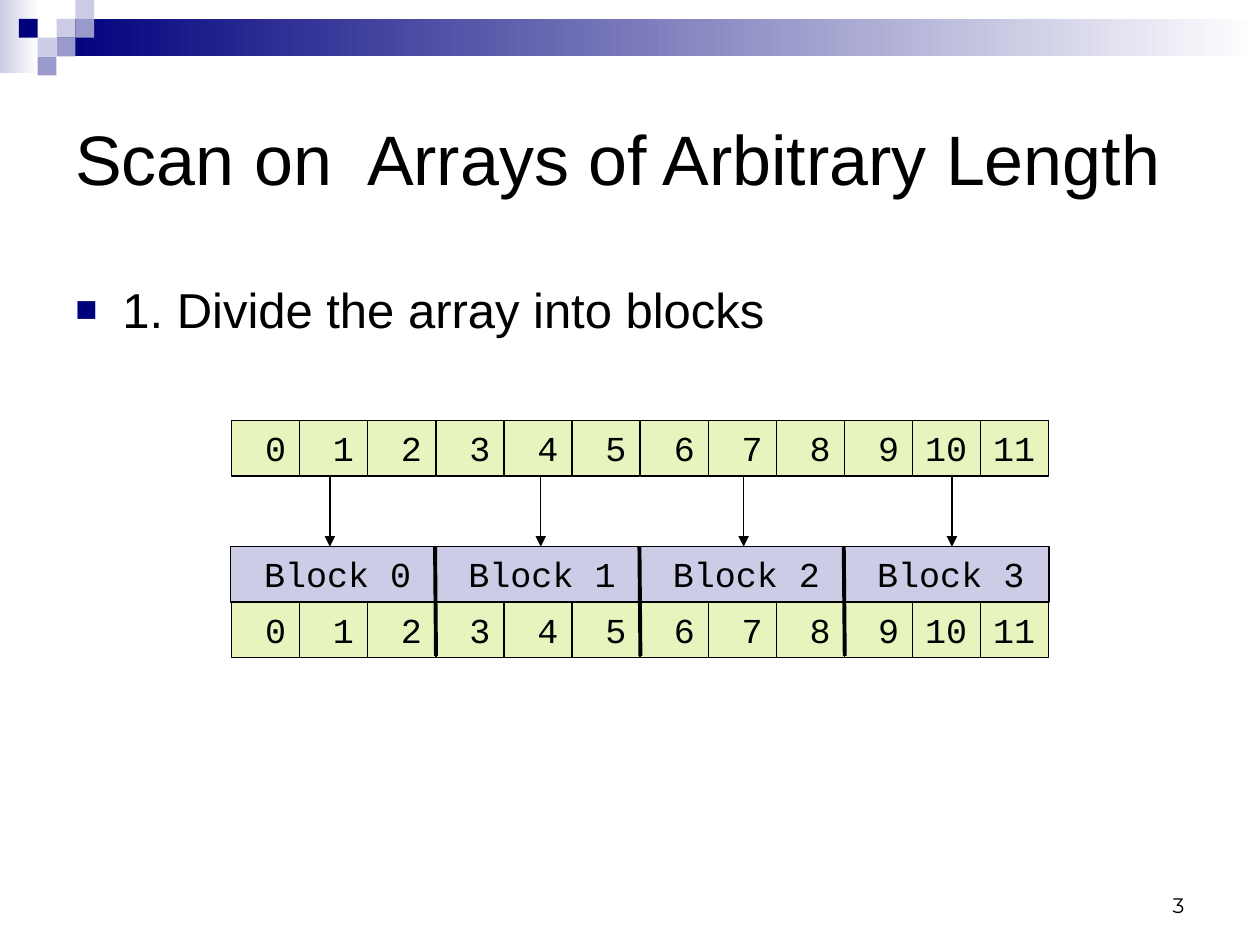
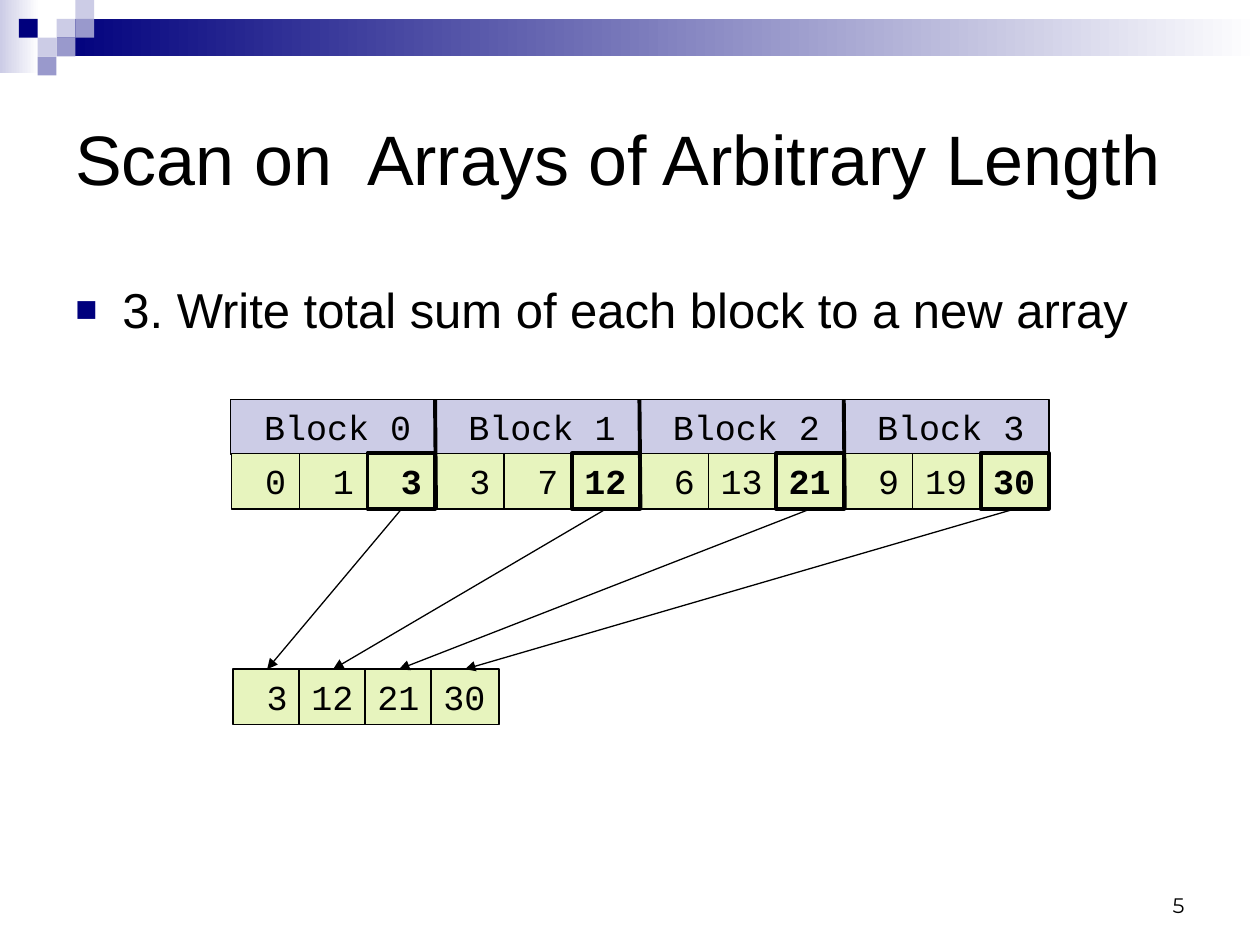
from lxml import etree
from pptx import Presentation
from pptx.dml.color import RGBColor
from pptx.enum.shapes import MSO_CONNECTOR, MSO_SHAPE
from pptx.enum.text import MSO_ANCHOR, PP_ALIGN
from pptx.oxml.ns import qn
from pptx.util import Cm, Pt

RECTANGLE = MSO_SHAPE.RECTANGLE
STRAIGHT = MSO_CONNECTOR.STRAIGHT
TOP, MIDDLE, BOTTOM = MSO_ANCHOR.TOP, MSO_ANCHOR.MIDDLE, MSO_ANCHOR.BOTTOM
LEFT, RIGHT = PP_ALIGN.LEFT, PP_ALIGN.RIGHT

COLOURS = {
    "black": "000000",
    "white": "FFFFFF",
    "navy": "00007D",
    "mid": "9999CC",
    "light": "CCCCE6",
    "cell": "E7F4BE",
}
SANS, MONO, NUMBER = "Arial", "Courier New", "Montserrat"
THIN, THICK = 0.75, 2.25

# All lengths below are centimetres.
PAGE_WIDTH, PAGE_HEIGHT = 25.4, 19.05
TILE = 0.38
TILES = [  # column, row, colour
    (3, 1, "light"), (4, 0, "light"), (4, 1, "mid"), (2, 2, "light"),
    (1, 1, "navy"), (3, 2, "mid"), (2, 3, "mid"),
]
CELL_WIDTH, ROW_HEIGHT = 1.37, 1.12
BLOCK_COUNT, BLOCK_SIZE = 4, 3
BLOCK_WIDTH, BLOCK_PITCH = 4.14, 4.12
ARRAY_LEFT = 4.67
TITLE = "Scan on  Arrays of Arbitrary Length"


def colour(name):
    """Return the named colour."""
    return RGBColor.from_string(COLOURS[name])


def write(shape, text, size, font, align=LEFT, anchor=TOP, bold=False):
    """Put one styled line of text into a shape and return its paragraph."""
    frame = shape.text_frame
    frame.text = text
    frame.vertical_anchor = anchor
    para = frame.paragraphs[0]
    para.alignment = align
    span = para.runs[0]
    span.font.size = Pt(size)
    span.font.name = font
    span.font.bold = bold
    span.font.color.rgb = colour("black")
    return para


def add_text(page, left, top, width, height, text, size, font, **style):
    """Add a wrapping text box and return its paragraph."""
    box = page.shapes.add_textbox(Cm(left), Cm(top), Cm(width), Cm(height))
    box.text_frame.word_wrap = True
    return write(box, text, size, font, **style)


def add_box(page, left, top, width, height, fill, fade=False):
    """Add a rectangle without outline, plain or fading to white."""
    box = page.shapes.add_shape(
        RECTANGLE, Cm(left), Cm(top), Cm(width), Cm(height))
    box.shadow.inherit = False
    box.line.fill.background()
    if fade:
        box.fill.gradient()
        box.fill.gradient_angle = 0
        for stop, name in zip(box.fill.gradient_stops, (fill, "white")):
            stop.color.rgb = colour(name)
    else:
        box.fill.solid()
        box.fill.fore_color.rgb = colour(fill)
    return box


def add_label(page, left, top, width, text, fill, bold=False):
    """Add an outlined box with monospaced text; bold thickens the outline."""
    box = add_box(page, left, top, width, ROW_HEIGHT, fill)
    box.line.color.rgb = colour("black")
    box.line.width = Pt(THICK if bold else THIN)
    box.text_frame.word_wrap = False
    write(box, text, 20, MONO, bold=bold)


def add_line(page, start, end, weight=THIN, arrow=False):
    """Draw a straight line between two points, with an optional arrowhead."""
    line = page.shapes.add_connector(STRAIGHT, *map(Cm, start + end))
    line.line.color.rgb = colour("black")
    line.line.width = Pt(weight)
    if arrow:
        outline = line.line._get_or_add_ln()
        etree.SubElement(outline, qn("a:tailEnd"), type="triangle")
    etree.SubElement(line._element.spPr, qn("a:effectLst"))


def add_bullet(para):
    """Give a paragraph a square navy bullet and a hanging indent."""
    properties = para._p.get_or_add_pPr()
    indent = Cm(0.95)
    properties.set("marL", str(indent))
    properties.set("indent", str(-indent))
    spacing = etree.SubElement(properties, qn("a:spcBef"))
    etree.SubElement(spacing, qn("a:spcPct"), val="20000")
    bullet_colour = etree.SubElement(properties, qn("a:buClr"))
    etree.SubElement(bullet_colour, qn("a:srgbClr"), val=COLOURS["navy"])
    etree.SubElement(properties, qn("a:buSzPct"), val="75000")
    etree.SubElement(properties, qn("a:buFont"), typeface=SANS)
    etree.SubElement(properties, qn("a:buChar"), char="■")


def add_header(page):
    """Draw the fading band and the mosaic of tiles at the top."""
    add_box(page, 0, 0, 0.79, 1.47, "light", fade=True)
    band_left = 3 * TILE
    add_box(page, band_left, TILE, PAGE_WIDTH - band_left, 2 * TILE,
            "navy", fade=True)
    for column, row, name in TILES:
        add_box(page, column * TILE, row * TILE, TILE, TILE, name)


def add_page(deck, step, number):
    """Add a slide with header, title, step line and slide number."""
    page = deck.slides.add_slide(deck.slide_layouts[6])
    add_header(page)
    add_text(page, 1.27, 1.27, 22.86, 3.81, TITLE, 40, SANS, anchor=MIDDLE)
    add_bullet(add_text(page, 1.27, 5.51, 22.86, 1.7, step, 28, SANS))
    add_text(page, 18.21, 17.35, 5.92, 1.27, str(number), 12, NUMBER,
             align=RIGHT, anchor=BOTTOM)
    return page


def cell_left(index):
    """Return the left edge of an array cell."""
    block, place = divmod(index, BLOCK_SIZE)
    return ARRAY_LEFT + block * BLOCK_PITCH + place * CELL_WIDTH


def add_array(page, top, values, bold_totals=False):
    """Draw a row of cells; the last of each block can be emphasised."""
    for index, value in enumerate(values):
        is_total = index % BLOCK_SIZE == BLOCK_SIZE - 1
        add_label(page, cell_left(index), top, CELL_WIDTH, f"{value:>2}",
                  "cell", bold=bold_totals and is_total)


def add_blocks(page, top, cells_top, values, bold_totals=False):
    """Draw block headings above their cells, with thick dividers between."""
    left = ARRAY_LEFT - 0.02
    for block in range(BLOCK_COUNT):
        add_label(page, left + block * BLOCK_PITCH, top, BLOCK_WIDTH,
                  f" Block {block}", "light")
    add_array(page, cells_top, values, bold_totals)
    for block in range(1, BLOCK_COUNT):
        edge = left + block * BLOCK_PITCH
        add_line(page, (edge, top), (edge + 0.02, top + 2.2), THICK)


def build_divide(deck):
    """Show the array being divided into blocks."""
    page = add_page(deck, "1. Divide the array into blocks", 3)
    array_top, blocks_top = 8.48, 11.02
    values = range(BLOCK_COUNT * BLOCK_SIZE)
    add_blocks(page, blocks_top, blocks_top + ROW_HEIGHT, values)
    add_array(page, array_top, values)
    for middle in (6.65, 10.9, 14.99, 19.19):
        add_line(page, (middle, array_top + ROW_HEIGHT), (middle, blocks_top),
                 arrow=True)


def build_totals(deck):
    """Show the total of each block being written to a new array."""
    page = add_page(deck, "3. Write total sum of each block to a new array", 5)
    cells_top, totals_top = 9.14, 13.49
    totals_left, totals_pitch = 4.7, 1.33
    values = [0, 1, 3, 3, 7, 12, 6, 13, 21, 9, 19, 30]
    add_blocks(page, 8.05, cells_top, values, bold_totals=True)
    half = CELL_WIDTH / 2
    for block in range(BLOCK_COUNT):
        source = block * BLOCK_SIZE + BLOCK_SIZE - 1
        left = totals_left + block * totals_pitch
        add_label(page, left, totals_top, CELL_WIDTH, f"{values[source]:>2}",
                  "cell")
        add_line(page, (cell_left(source) + half, cells_top + ROW_HEIGHT),
                 (left + half, totals_top), arrow=True)


def main():
    """Build and save the deck."""
    deck = Presentation()
    deck.slide_width, deck.slide_height = Cm(PAGE_WIDTH), Cm(PAGE_HEIGHT)
    build_divide(deck)
    build_totals(deck)
    deck.save("out.pptx")


main()
